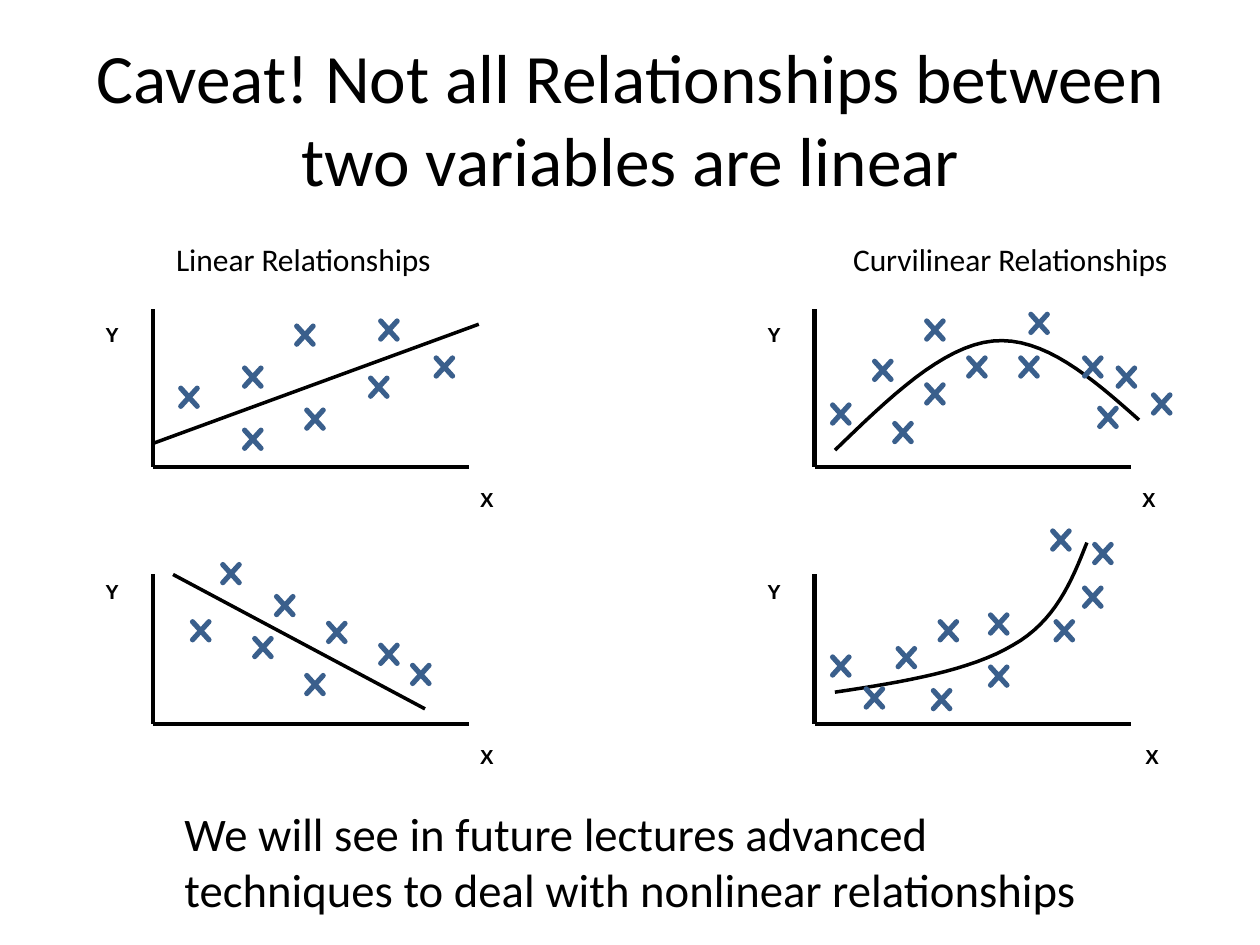
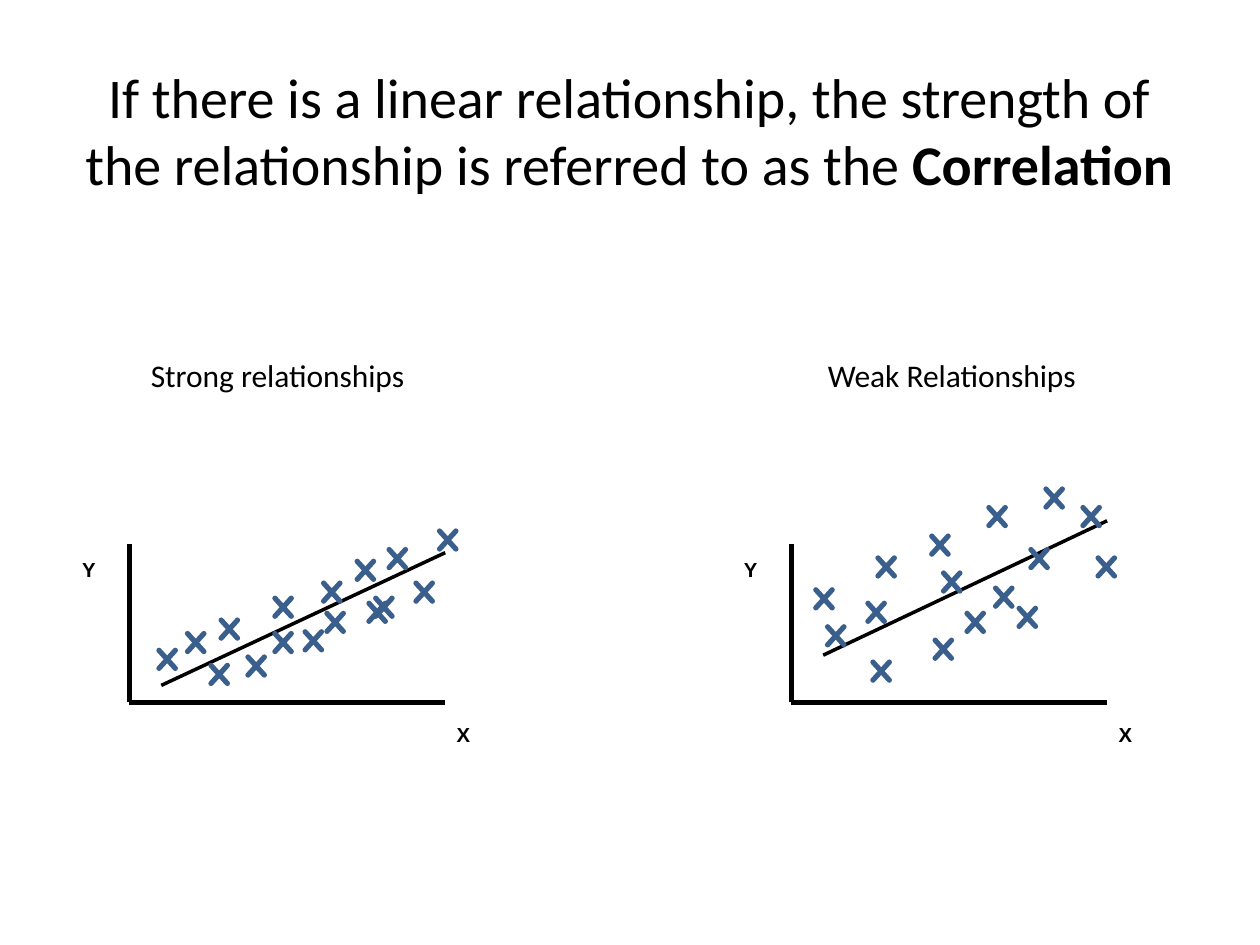
from pptx import Presentation
from pptx.dml.color import RGBColor as RGB
from pptx.enum.shapes import MSO_CONNECTOR as CONN, MSO_SHAPE as SHAPE
from pptx.enum.text import MSO_ANCHOR as ANCHOR, MSO_AUTO_SIZE as FIT, PP_ALIGN as ALIGN
from pptx.oxml.ns import qn
from pptx.util import Inches, Pt
from lxml.etree import SubElement

COLORS = {"ink": "000000", "mark": "4F81BD", "mark_line": "3A5F8C"}
BODY_FONT, AXIS_FONT = "Calibri", "Arial"
LEFT_X, RIGHT_X = 0.91, 4.85
AXIS_W = 1.88
MARK_W, MARK_H = 0.19, 0.21
CURVE_STEPS = 16

RISING = [(0.12, 0.42), (0.5, 0.67), (0.5, 0.3), (1.64, 0.24), (0.81, 0.05),
          (0.87, 0.55), (1.31, 0.02), (1.25, 0.36)]
FALLING = [(0.19, 0.23), (0.56, 0.33), (0.37, -0.11), (1.5, 0.49), (0.69, 0.08),
           (0.87, 0.55), (1, 0.24), (1.31, 0.37)]
ARCH = [(0.06, 0.52), (0.43, 0.63), (0.31, 0.26), (1.56, 0.24), (0.62, 0.02),
        (1.18, 0.24), (1.24, -0.02), (1.65, 0.54), (0.87, 0.24), (0.62, 0.4),
        (1.76, 0.3), (1.97, 0.46)]
GROWTH = [(0.26, 0.63), (0.06, 0.44), (1.39, 0.23), (0.66, 0.64), (1, 0.5),
          (1, 0.19), (1.37, -0.31), (0.7, 0.23), (0.45, 0.39), (1.56, 0.03),
          (1.62, -0.23)]
STRONG = [(0.13, 0.58), (0.44, 0.67), (0.5, 0.4), (1.38, 0.3), (0.82, 0.27),
          (0.82, 0.48), (1.5, -0.02), (1.13, 0.36), (1.11, 0.18), (1.42, 0.27),
          (1.31, 0.05), (0.3, 0.48), (1.8, -0.13), (0.66, 0.62), (1, 0.47),
          (1.66, 0.18)]
WEAK = [(0.17, 0.44), (0.44, 0.65), (1.78, 0.03), (1.38, -0.02), (0.86, 0.12),
        (0.81, 0.52), (1.69, -0.27), (1.17, 0.21), (0.1, 0.22), (0.41, 0.3),
        (0.47, 0.03), (1, 0.36), (0.79, -0.1), (1.13, -0.27), (1.47, -0.38),
        (1.31, 0.33)]

ARCH_CURVE = [(0.12, 0.84), (0.44, 0.53), (0.76, 0.22), (1.06, 0.19),
              (1.36, 0.16), (1.65, 0.41), (1.93, 0.66)]
GROWTH_CURVE = [(0.12, 0.7), (0.53, 0.64), (0.93, 0.57), (1.18, 0.42),
                (1.43, 0.28), (1.53, 0.04), (1.62, -0.19)]


def color(name):
    return RGB.from_string(COLORS[name])


def style_font(font, size, name=BODY_FONT, bold=None):
    font.size, font.name, font.bold = Pt(size), name, bold
    font.color.rgb = color("ink")


def add_title(s, box, size, *parts):
    sp = s.shapes.title
    sp.left, sp.top, sp.width, sp.height = map(Inches, box)
    tf = sp.text_frame
    tf.auto_size, tf.vertical_anchor = FIT.NONE, ANCHOR.MIDDLE
    p = tf.paragraphs[0]
    p.alignment = ALIGN.CENTER
    style_font(p.font, size)
    for text, bold in parts:
        r = p.add_run()
        r.text = text
        if bold:
            r.font.bold = True


def add_text(s, box, text, size, name=BODY_FONT, bold=None, wrap=True):
    tf = s.shapes.add_textbox(*map(Inches, box)).text_frame
    tf.word_wrap, tf.auto_size = wrap, FIT.SHAPE_TO_FIT_TEXT
    p = tf.paragraphs[0]
    p.text = text
    style_font(p.font, size, name, bold)
    return p


def add_axis_label(s, x, y, text):
    p = add_text(s, (x, y, 0.34, 0.35), text, 15, AXIS_FONT, True, False)
    p.runs[0].font._element.set("baseline", "-25000")


def add_line(s, start, end, width):
    cx = s.shapes.add_connector(CONN.STRAIGHT, *map(Inches, start + end))
    cx.line.color.rgb, cx.line.width = color("ink"), Pt(width)
    SubElement(cx._element.spPr, qn("a:effectLst"))


def bezier(a, b, c, d, t):
    u = 1 - t
    return tuple(u**3 * i + 3 * u * u * t * j + 3 * u * t * t * k + t**3 * m
                 for i, j, k, m in zip(a, b, c, d))


def add_curve(s, points):
    outline = [bezier(*points[i:i + 4], step / CURVE_STEPS)
               for i in range(0, len(points) - 1, 3)
               for step in range(1, CURVE_STEPS + 1)]
    fb = s.shapes.build_freeform(*map(Inches, points[0]))
    fb.add_line_segments([(Inches(x), Inches(y)) for x, y in outline], close=False)
    sp = fb.convert_to_shape()
    sp.shadow.inherit = False
    sp.fill.background()
    sp.line.color.rgb, sp.line.width = color("ink"), Pt(1.5)


def add_mark(s, x, y):
    sp = s.shapes.add_shape(SHAPE.MATH_MULTIPLY, *map(Inches, (x, y, MARK_W, MARK_H)))
    sp.adjustments[0] = 0.016
    sp.shadow.inherit = False
    sp.fill.solid()
    sp.fill.fore_color.rgb = color("mark")
    sp.line.color.rgb, sp.line.width = color("mark_line"), Pt(2)


def add_plot(s, x, y, height, trend, marks, x_label=1.85):
    bottom = y + height
    add_line(s, (x, y), (x, bottom), 2)
    add_line(s, (x, bottom), (x + AXIS_W, bottom), 2)
    add_axis_label(s, x - 0.38, bottom - 1.05, "Y")
    add_axis_label(s, x + x_label, bottom - 0.07, "X")
    points = [(x + dx, y + dy) for dx, dy in trend]
    if len(points) == 2:
        add_line(s, *points, 1.5)
    else:
        add_curve(s, points)
    for dx, dy in marks:
        add_mark(s, x + dx, y + dy)


def add_captions(s, x, y, left, right):
    add_text(s, (x, y, 1.87, 0.33), left, 13.5)
    add_text(s, (x + 4.03, y, 2.14, 0.33), right, 13.5)


def shapes_slide(s):
    add_title(s, (0.38, 0.23, 6.75, 0.94), 29.7,
              ("Caveat! Not all Relationships between two variables are linear", False))
    add_captions(s, 0.95, 1.38, "Linear Relationships", "Curvilinear Relationships")
    top, low = (1.84, 0.94), (3.42, 0.89)
    add_plot(s, LEFT_X, *top, [(0, 0.8), (1.94, 0.09)], RISING)
    add_plot(s, LEFT_X, *low, [(0.12, 0), (1.62, 0.8)], FALLING)
    add_plot(s, RIGHT_X, *top, ARCH_CURVE, ARCH)
    add_plot(s, RIGHT_X, *low, GROWTH_CURVE, GROWTH, x_label=1.87)
    add_text(s, (1, 4.74, 5.66, 0.77),
             "We will see in future lectures advanced techniques to deal with "
             "nonlinear relationships", 20)


def strength_slide(s):
    add_title(s, (0.37, 0.42, 6.75, 0.7), 24,
              ("If there is a linear relationship, the strength of the relationship "
               "is referred to as the ", False),
              ("Correlation", True))
    add_captions(s, 0.8, 2.07, "Strong relationships", "Weak Relationships")
    shift = 0.14
    add_plot(s, LEFT_X - shift, 3.24, 0.94, [(0.19, 0.84), (1.88, 0.05)], STRONG)
    add_plot(s, RIGHT_X - shift, 3.24, 0.94, [(0.19, 0.66), (1.88, -0.14)], WEAK)


def main():
    prs = Presentation()
    prs.slide_width = Inches(7.5)
    prs.slide_height = prs.slide_width * 3 // 4
    for build in (shapes_slide, strength_slide):
        build(prs.slides.add_slide(prs.slide_layouts[5]))
    prs.save("out.pptx")


if __name__ == "__main__":
    main()
